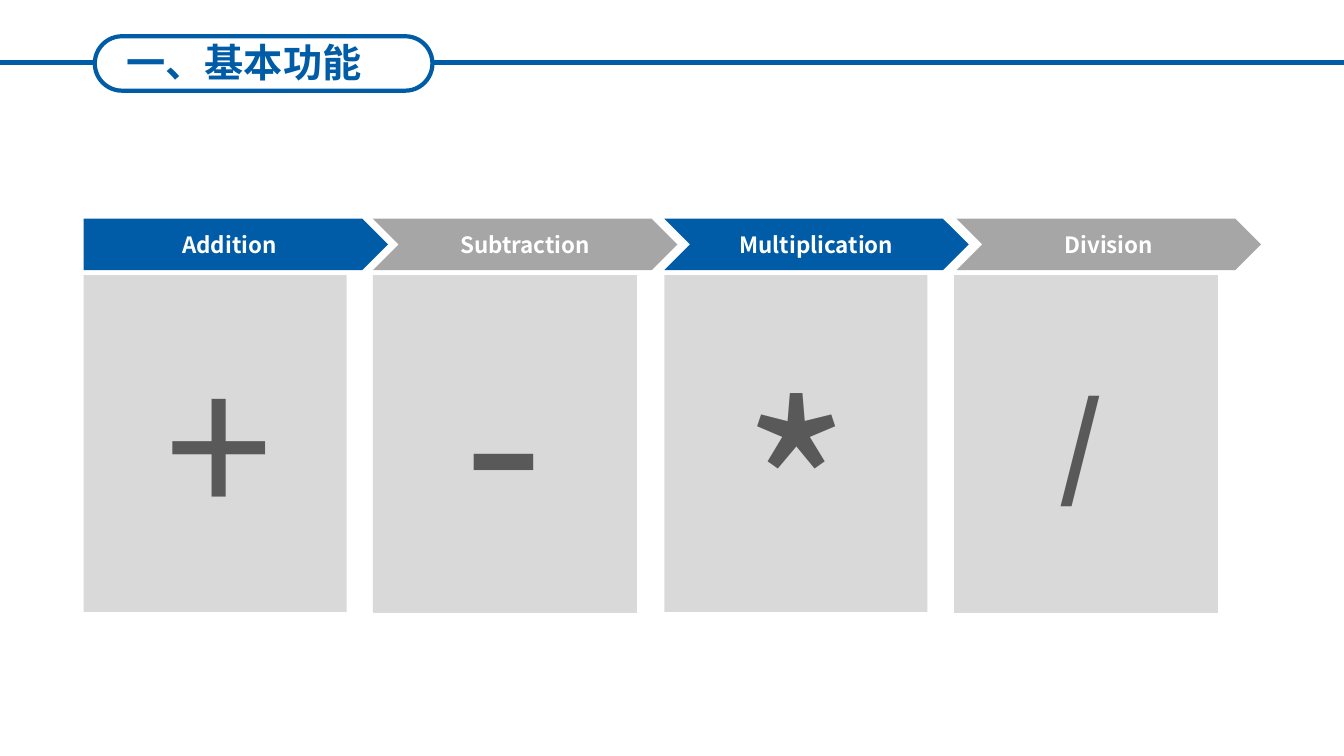
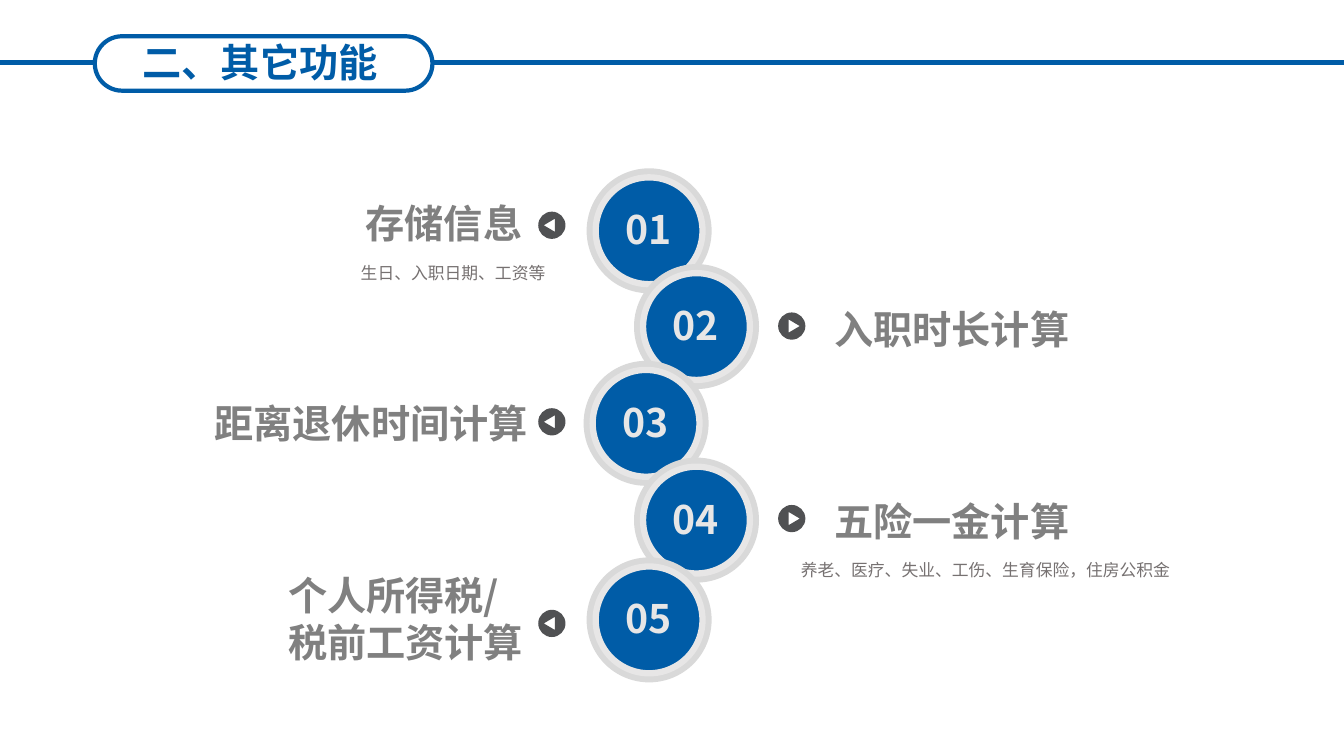
from lxml.etree import SubElement
from pptx import Presentation
from pptx.dml.color import RGBColor
from pptx.enum.shapes import MSO_CONNECTOR as Conn, MSO_SHAPE as Shape
from pptx.enum.text import MSO_ANCHOR as Anchor, MSO_AUTO_SIZE as Fit, PP_ALIGN as Align
from pptx.oxml.ns import qn
from pptx.util import Pt

SCALE = 9144
SLIDE_H = 750
SLIDE_W = SLIDE_H * 16 / 9
FONT = "Noto Sans CJK SC"
ARC = 0.55

BLUE = RGBColor(0x00, 0x5C, 0xA7)
WHITE = RGBColor(0xFF, 0xFF, 0xFF)
MID_GREY = RGBColor(0xA6, 0xA6, 0xA6)
LIGHT_GREY = RGBColor(0xD9, 0xD9, 0xD9)
PALE_GREY = RGBColor(0xE7, 0xE6, 0xE6)
SYMBOL_GREY = RGBColor(0x59, 0x59, 0x59)
LABEL_GREY = RGBColor(0x80, 0x80, 0x80)
NOTE_GREY = RGBColor(0x76, 0x71, 0x71)
ICON_GREY = RGBColor(0x50, 0x51, 0x53)

OPERATIONS = [
    ("Addition", 83, 83, None, "+", 138, False, Align.CENTER, (47, 46, 175, 242), True),
    ("Subtraction", 370, 370, LIGHT_GREY, "-", 166, False, Align.CENTER, (56, 15, 148, 289), True),
    ("Multiplication", 659, 659, None, "*", 166, False, Align.CENTER, (68, 65, 126, 289), False),
    ("Division", 949, 947, LIGHT_GREY, "/", 80, True, Align.LEFT, (94, 94, 87, 145), True),
]

FEATURES = [
    ("01", (582, 167), (534, 210), ["存储信息"], (353, 193, 177, 57)),
    ("02", (629, 262), (772, 310), ["入职时长计算"], (818, 298, 256, 57)),
    ("03", (579, 358), (534, 405), ["距离退休时间计算"], (203, 391, 334, 57)),
    ("04", (629, 454), (772, 501), ["五险一金计算"], (818, 488, 256, 57)),
    ("05", (582, 553), (534, 605), ["个人所得税/", "税前工资计算"], (276, 562, 256, 104)),
]

NOTES = [
    ("生日、入职日期、工资等", (169, 246, 382, 40)),
    ("养老、医疗、失业、工伤、生育保险，住房公积金", (728, 540, 443, 40)),
]


def px(n):
    return round(n * SCALE)


def write(tf, lines, size, color, bold=False, align=Align.LEFT, spacing=None):
    for i, line in enumerate(lines):
        p = tf.paragraphs[0] if i == 0 else tf.add_paragraph()
        p.alignment = align
        if spacing:
            p.line_spacing = spacing
        r = p.add_run()
        r.text = line
        r.font.size = Pt(size)
        r.font.bold = bold
        r.font.color.rgb = color
        r.font.name = FONT
        SubElement(r.font._element, qn("a:ea"), typeface=FONT)


def add_text(s, box, lines, size, color, wrap=True, **style):
    tf = s.shapes.add_textbox(*map(px, box)).text_frame
    tf.word_wrap = wrap
    tf.auto_size = Fit.SHAPE_TO_FIT_TEXT
    write(tf, lines, size, color, **style)


def paint(sp, fill=None, line=None, width=0):
    sp.shadow.inherit = False
    if fill is None:
        sp.fill.background()
    else:
        sp.fill.solid()
        sp.fill.fore_color.rgb = fill
    if line is None:
        sp.line.fill.background()
    else:
        sp.line.color.rgb = line
        sp.line.width = Pt(width)


def add_box(s, kind, box, **look):
    sp = s.shapes.add_shape(kind, *map(px, box))
    paint(sp, **look)
    return sp


def add_rule(s, x1, x2, y):
    rule = s.shapes.add_connector(Conn.STRAIGHT, px(x1), px(y), px(x2), px(y))
    rule.line.color.rgb = BLUE
    rule.line.width = Pt(3)
    SubElement(rule._element.spPr, qn("a:effectLst"))


def add_title(s, title, text_x):
    x, y, w, h = 94, 36, 335, 54
    add_rule(s, x + w + 1, 1357, 62)
    add_rule(s, -21, x, 62)
    pill = add_box(s, Shape.ROUNDED_RECTANGLE, (x, y, w, h), line=BLUE, width=3)
    pill.adjustments[0] = 0.5
    add_text(s, (text_x, y - 3, 338, 57), [title], 28, BLUE, bold=True, align=Align.CENTER)


def add_step(s, x, y, name, kind, fill):
    sp = add_box(s, kind, (x, y, 302, 51), fill=fill)
    tf = sp.text_frame
    tf.word_wrap = False
    tf.vertical_anchor = Anchor.MIDDLE
    write(tf, [name], 16, WHITE, bold=True, align=Align.CENTER)


def add_card(s, x, y, edge, symbol, size, bold, align, inner, wrap):
    add_box(s, Shape.RECTANGLE, (x, y, 261, 334), fill=LIGHT_GREY, line=edge, width=0.25)
    dx, dy, w, h = inner
    add_text(s, (x + dx, y + dy, w, h), [symbol], size, SYMBOL_GREY,
             wrap=wrap, bold=bold, align=align)


def round_corners(sp, center):
    geometry = sp._element.spPr.find(qn("a:custGeom"))
    start = next(geometry.iter(qn("a:moveTo")))[0]
    for side in list(geometry.iter(qn("a:lnTo")))[:4]:
        end = side[0]
        x0, y0, x1, y1 = (int(pt.get(k)) - center for pt in (start, end) for k in "xy")
        side.tag = qn("a:cubicBezTo")
        controls = ((x0 + ARC * x1, y0 + ARC * y1), (x1 + ARC * x0, y1 + ARC * y0))
        for i, (x, y) in enumerate(controls):
            pt = SubElement(side, qn("a:pt"), x=str(round(center + x)), y=str(round(center + y)))
            side.insert(i, pt)
        start = end


def add_pointer(s, x, y, way):
    d = 27
    c = d / 2
    rim = [(c, 0), (0, c), (c, d), (d, c), (c, 0)]
    arrow = [(c + way * dx, c + dy) for dx, dy in ((8, 0), (-3, 6.5), (-3, -6.5))]
    rim, arrow = ([(px(x + dx), px(y + dy)) for dx, dy in pts] for pts in (rim, arrow))
    fb = s.shapes.build_freeform(*rim[0])
    fb.add_line_segments(rim[1:], close=True)
    fb.move_to(*arrow[0])
    fb.add_line_segments(arrow[1:], close=True)
    sp = fb.convert_to_shape()
    round_corners(sp, px(c))
    paint(sp, fill=ICON_GREY)


def add_bubble(s, x, y, number):
    add_box(s, Shape.OVAL, (x, y, 124, 124), fill=LIGHT_GREY)
    add_box(s, Shape.OVAL, (x + 9, y + 9, 106, 106), fill=BLUE, line=PALE_GREY, width=4.5)
    add_text(s, (x + 27, y + 32, 68, 57), [number], 28, PALE_GREY, bold=True, align=Align.CENTER)


def add_feature(s, number, bubble, pointer, label, label_box):
    add_pointer(s, *pointer, way=1 if pointer[0] > bubble[0] else -1)
    add_bubble(s, *bubble, number)
    add_text(s, label_box, label, 28, LABEL_GREY, wrap=False, bold=True)


def basic_slide(s):
    for i, (name, step_x, card_x, *card) in enumerate(OPERATIONS):
        kind = Shape.CHEVRON if i else Shape.PENTAGON
        add_step(s, step_x, 217, name, kind, MID_GREY if i % 2 else BLUE)
        add_card(s, card_x, 273, *card)
    add_title(s, "一、基本功能", 73)


def other_slide(s):
    for feature in FEATURES:
        add_feature(s, *feature)
    for note, box in NOTES:
        add_text(s, box, [note], 12, NOTE_GREY, align=Align.RIGHT, spacing=1.5)
    add_title(s, "二、其它功能", 89)


def main():
    prs = Presentation()
    prs.slide_width, prs.slide_height = px(SLIDE_W), px(SLIDE_H)
    for build in (basic_slide, other_slide):
        build(prs.slides.add_slide(prs.slide_layouts[6]))
    prs.save("out.pptx")


if __name__ == "__main__":
    main()
